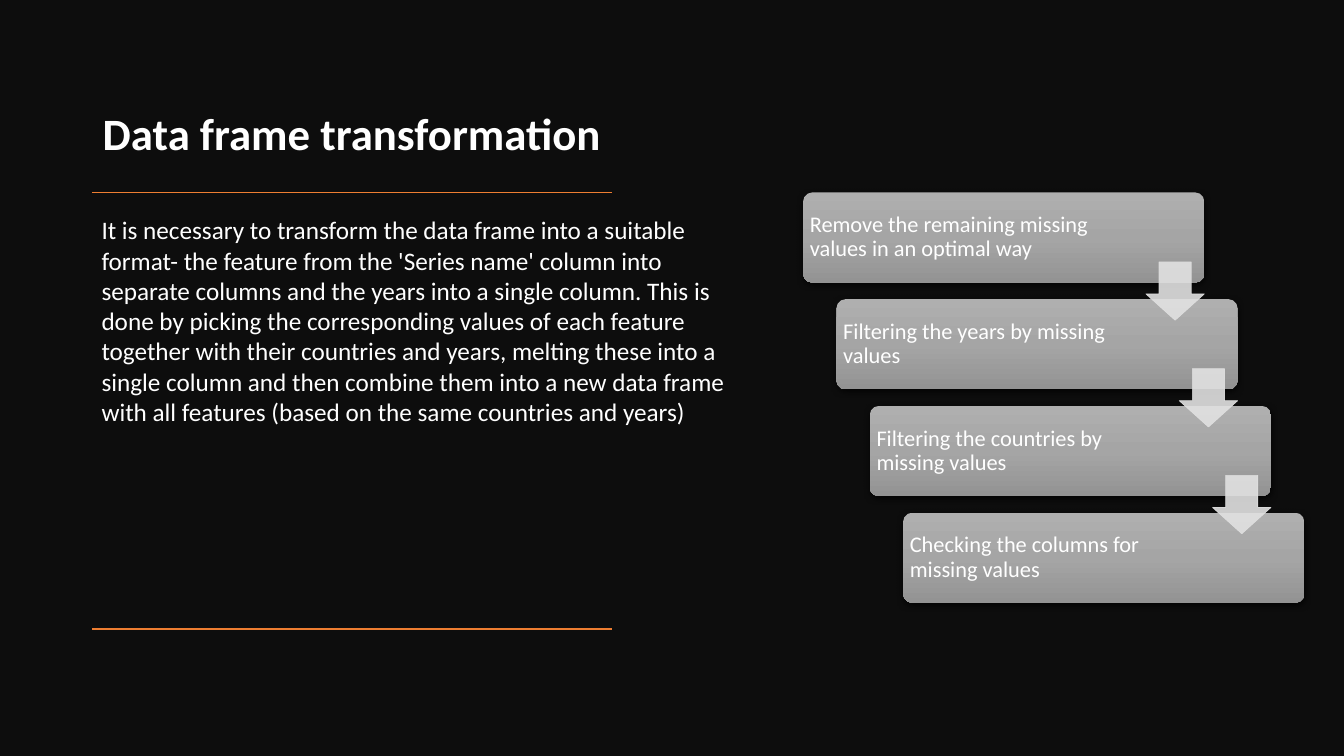
"""Build a dark slide on data frame transformation with a four-step staircase."""
from copy import deepcopy

from lxml import etree
from pptx import Presentation, util as u
from pptx.dml.color import RGBColor
from pptx.enum import shapes, text
from pptx.oxml import ns

WHITE, BACKDROP, ORANGE, ARROW_GREY = "FFFFFF", "0D0D0D", "ED7D31", "E1E1E1"
BOX_GRADIENT = [(0, "AFAFAF"), (0.5, "A5A5A5"), (1, "939393")]
BODY = (
    "It is necessary to transform the data frame into a suitable format- the feature "
    "from the 'Series name' column into separate columns and the years into a single "
    "column. This is done by picking the corresponding values of each feature together "
    "with their countries and years, melting these into a single column and then combine "
    "them into a new data frame with all features (based on the same countries and years)"
)
STEPS = [
    ("Remove the remaining missing values in an optimal way", 7.59),
    ("Filtering the years by missing values", 7.8),
    ("Filtering the countries by missing values", 7.8),
    ("Checking the columns for missing values", 7.8),
]
STEP_LEFT, STEP_TOP, STEP_WIDTH, STEP_HEIGHT = 20.24, 4.85, 10.11, 2.27
SHIFT_X, SHIFT_Y = 0.84, 2.69
ARROW_LEFT, ARROW_TOP, ARROW_SIZE = 28.88, 6.6, 1.47


def paint(color_format, hex_color):
    color_format.rgb = RGBColor.from_string(hex_color)


def add_text(words, left, top, width, height, size=18, bold=False, spacing=None,
             anchor=text.MSO_ANCHOR.TOP, margins=(0.25, 0.13, 0.25, 0.13)):
    box = slide.shapes.add_textbox(u.Cm(left), u.Cm(top), u.Cm(width), u.Cm(height))
    frame = box.text_frame
    frame.word_wrap = True
    frame.vertical_anchor = anchor
    (frame.margin_left, frame.margin_top,
     frame.margin_right, frame.margin_bottom) = map(u.Cm, margins)
    paragraph = frame.paragraphs[0]
    paragraph.line_spacing = spacing
    run = paragraph.add_run()
    run.text = words
    run.font.name = "Calibri"
    run.font.size = u.Pt(size)
    run.font.bold = bold
    paint(run.font.color, WHITE)
    return box


presentation = Presentation()
presentation.slide_width = u.Cm(33.87)
presentation.slide_height = u.Cm(19.05)
slide = presentation.slides.add_slide(presentation.slide_layouts[6])

backdrop = slide.shapes.add_shape(
    shapes.MSO_SHAPE.RECTANGLE, 0, 0, presentation.slide_width, presentation.slide_height)
backdrop.shadow.inherit = False
backdrop.fill.solid()
paint(backdrop.fill.fore_color, BACKDROP)
backdrop.line.fill.background()

add_text("Data frame transformation", 2.34, 1.88, 13.08, 3.4, size=32, bold=True,
         spacing=0.9, anchor=text.MSO_ANCHOR.BOTTOM, margins=(0.25, 0.13, 0.25, 1.37))

for rule_y in (4.85, 15.85):
    rule = slide.shapes.add_connector(
        shapes.MSO_CONNECTOR.STRAIGHT, u.Cm(15.42), u.Cm(rule_y), u.Cm(2.31), u.Cm(rule_y))
    rule.line.width = u.Pt(1)
    paint(rule.line.color, ORANGE)
    etree.SubElement(rule._element.spPr, ns.qn("a:effectLst"))

for index, (words, text_width) in enumerate(STEPS):
    left, top = STEP_LEFT + index * SHIFT_X, STEP_TOP + index * SHIFT_Y
    step = slide.shapes.add_shape(
        shapes.MSO_SHAPE.ROUNDED_RECTANGLE,
        u.Cm(left), u.Cm(top), u.Cm(STEP_WIDTH), u.Cm(STEP_HEIGHT))
    step.adjustments[0] = 0.1
    step.line.fill.background()
    step.fill.gradient()
    step.fill.gradient_angle = 270
    stop_list = step._element.spPr.find(".//" + ns.qn("a:gsLst"))
    stop_list.append(deepcopy(stop_list[0]))
    for stop, (position, hex_color) in zip(step.fill.gradient_stops, BOX_GRADIENT):
        stop.position = position
        paint(stop.color, hex_color)
    step.shadow.inherit = False
    effects = step._element.spPr.find(ns.qn("a:effectLst"))
    shadow = etree.SubElement(
        effects, ns.qn("a:outerShdw"), blurRad=str(u.Pt(4.5)), dist=str(u.Pt(1.5)),
        dir="5400000", algn="ctr", rotWithShape="0")
    shadow_color = etree.SubElement(shadow, ns.qn("a:srgbClr"), val="000000")
    etree.SubElement(shadow_color, ns.qn("a:alpha"), val="63000")
    add_text(words, left, top, text_width, STEP_HEIGHT, size=16, spacing=0.9,
             anchor=text.MSO_ANCHOR.MIDDLE, margins=(0.17, 0.17, 0.17, 0.17))

for index in range(len(STEPS) - 1):
    arrow = slide.shapes.add_shape(
        shapes.MSO_SHAPE.DOWN_ARROW,
        u.Cm(ARROW_LEFT + index * SHIFT_X), u.Cm(ARROW_TOP + index * SHIFT_Y),
        u.Cm(ARROW_SIZE), u.Cm(ARROW_SIZE))
    arrow.adjustments[0] = 0.55
    arrow.adjustments[1] = 0.45
    arrow.shadow.inherit = False
    arrow.fill.solid()
    paint(arrow.fill.fore_color, ARROW_GREY)
    arrow.line.width = u.Pt(0.5)
    paint(arrow.line.color, ARROW_GREY)
    for color in arrow._element.spPr.iter(ns.qn("a:srgbClr")):
        etree.SubElement(color, ns.qn("a:alpha"), val="90000")

body = add_text(BODY, 2.31, 5.28, 16.97, 6.4)
body.text_frame.auto_size = text.MSO_AUTO_SIZE.SHAPE_TO_FIT_TEXT

presentation.save("out.pptx")
